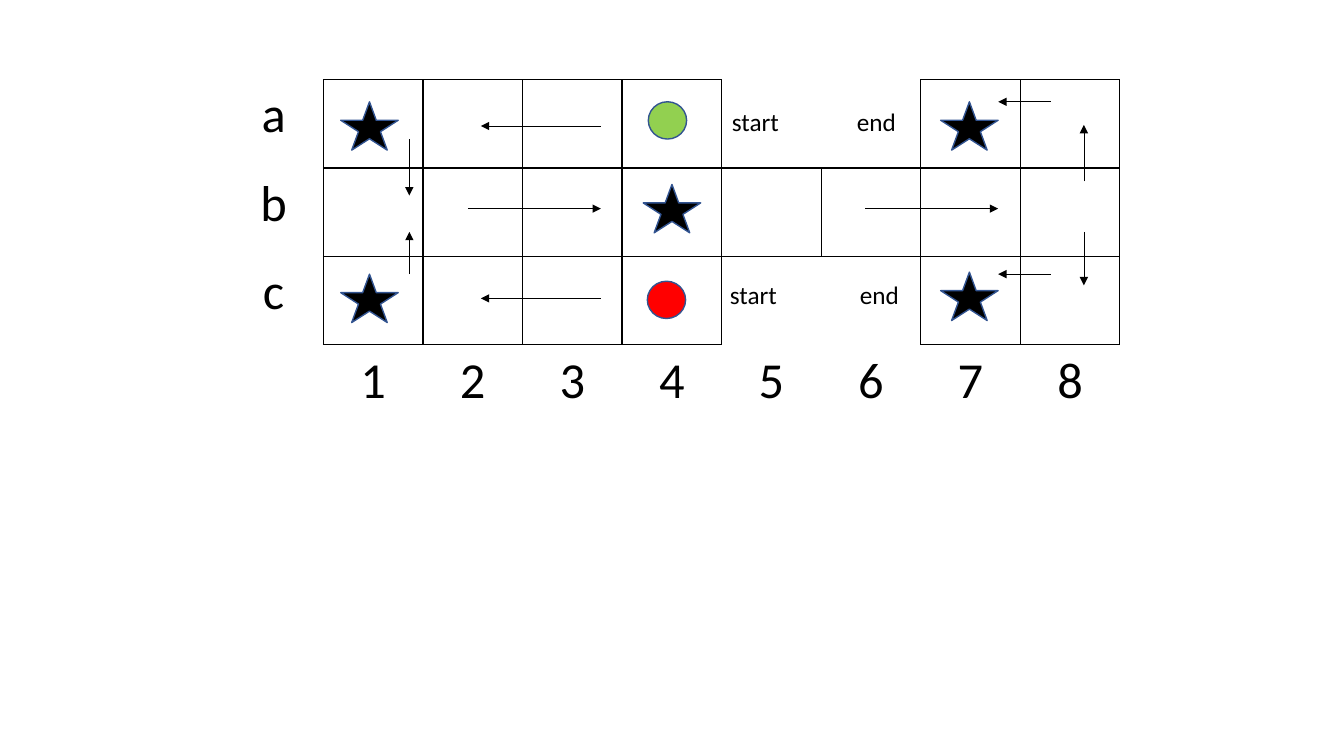
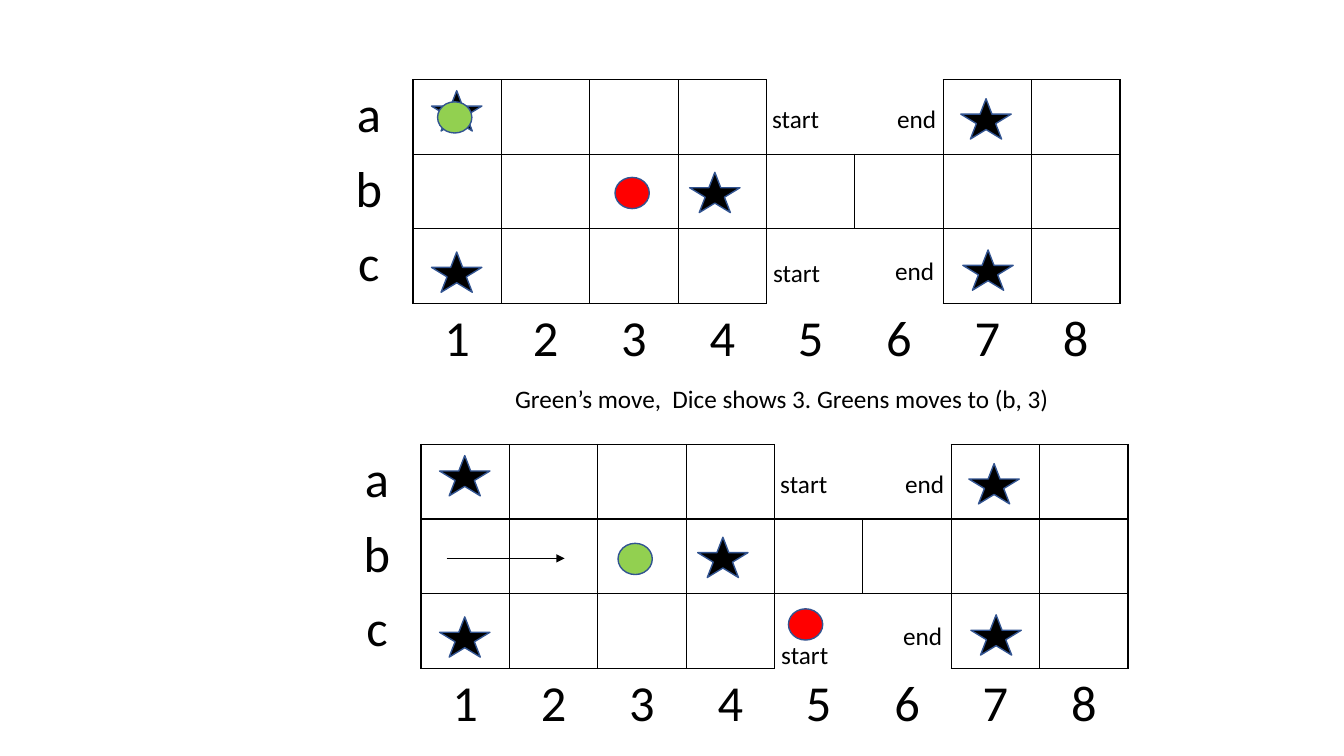
import dataclasses

import lxml.etree
import pptx
import pptx.dml.color
import pptx.enum.shapes
import pptx.enum.text
import pptx.oxml.ns
import pptx.util

EMU_PER_PX = 9144
ROWS = "abc"
COLUMNS = "12345678"
OPEN_COLUMNS = "56"
NO_STYLE_NO_GRID = "{2D5ABB26-0587-4C30-8999-92F81FD0307C}"
# Each cell side: XML tag and the step to the neighbouring cell.
SIDES = (("a:lnL", 0, -1), ("a:lnR", 0, 1), ("a:lnT", -1, 0), ("a:lnB", 1, 0))


@dataclasses.dataclass(frozen=True)
class Theme:
    font: str = "Calibri"
    axis_size: int = 36
    text_size: int = 18
    ink: str = "000000"
    outline: str = "325491"
    green: str = "92D050"
    red: str = "FF0000"
    grid_line: float = 1
    arrow_line: float = 0.5


@dataclasses.dataclass(frozen=True)
class BoardStyle:
    """Sizes of a board and its fixed marks, placed relative to its corner."""
    size: tuple
    star_size: tuple
    token_size: tuple
    label_size: tuple
    stars: tuple
    labels: tuple


THEME = Theme()

LARGE = BoardStyle(
    size=(889, 351), star_size=(57, 48), token_size=(38, 37), label_size=(76, 40),
    stars=((416, 104), (116, 22), (116, 193), (711, 22), (711, 191)),
    labels=(("start", 494, 22), ("end", 618, 22),
            ("start", 492, 193), ("end", 621, 193)))

SMALL = BoardStyle(
    size=(789, 296), star_size=(50, 40), token_size=(34, 31), label_size=(67, 40),
    stars=((362, 92), (106, 11), (106, 171), (631, 19), (633, 169)),
    labels=(("start", 434, 19), ("end", 558, 19),
            ("start", 435, 171), ("end", 556, 169)))

# The red token stands on the lower start, so its label sits below it.
SMALL_RED_AT_START = dataclasses.replace(
    SMALL, labels=SMALL.labels[:2] + (("start", 435, 188), SMALL.labels[3]))

ROUTE = (
    (374, 46, 255, 46), (184, 59, 184, 115),
    (374, 217, 255, 217), (184, 193, 184, 151),
    (242, 128, 374, 128), (636, 128, 768, 128),
    (853, 101, 853, 45), (853, 151, 853, 204),
    (820, 22, 768, 22), (820, 193, 768, 193),
)


def px(*lengths):
    return [pptx.util.Emu(length * EMU_PER_PX) for length in lengths]


def rgb(value):
    return pptx.dml.color.RGBColor.from_string(value)


def add_xml(parent, tag, **attributes):
    return lxml.etree.SubElement(parent, pptx.oxml.ns.qn(tag), attributes)


def write(frame, text, size, align=pptx.enum.text.PP_ALIGN.LEFT):
    frame.text = text
    para = frame.paragraphs[0]
    para.alignment = align
    for span in para.runs:
        span.font.name = THEME.font
        span.font.size = pptx.util.Pt(size)
        span.font.color.rgb = rgb(THEME.ink)


def add_label(page, text, left, top, size):
    box = page.shapes.add_textbox(*px(left, top, *size))
    box.text_frame.word_wrap = True
    box.text_frame.auto_size = pptx.enum.text.MSO_AUTO_SIZE.SHAPE_TO_FIT_TEXT
    write(box.text_frame, text, THEME.text_size)


def add_mark(page, kind, left, top, size, colour):
    mark = page.shapes.add_shape(kind, *px(left, top, *size))
    mark.shadow.inherit = False
    mark.fill.solid()
    mark.fill.fore_color.rgb = rgb(colour)
    mark.line.color.rgb = rgb(THEME.outline)
    mark.line.width = pptx.util.Pt(1)


def add_arrow(page, *ends):
    arrow = page.shapes.add_connector(
        pptx.enum.shapes.MSO_CONNECTOR.STRAIGHT, *px(*ends))
    arrow.line.color.rgb = rgb(THEME.ink)
    arrow.line.width = pptx.util.Pt(THEME.arrow_line)
    add_xml(arrow.line._get_or_add_ln(), "a:tailEnd", type="triangle")
    add_xml(arrow._element.spPr, "a:effectLst")


def is_square(row, column):
    """Tell whether a table cell is a playing square; row b has no gap."""
    if not (0 <= row < len(ROWS) and 1 <= column <= len(COLUMNS)):
        return False
    return ROWS[row] == "b" or COLUMNS[column - 1] not in OPEN_COLUMNS


def set_borders(cell, row, column):
    properties = cell._tc.get_or_add_tcPr()
    for tag, down, right in SIDES:
        border = add_xml(properties, tag, w=str(pptx.util.Pt(THEME.grid_line)))
        if is_square(row, column) or is_square(row + down, column + right):
            add_xml(add_xml(border, "a:solidFill"), "a:srgbClr", val=THEME.ink)
        else:
            add_xml(border, "a:noFill")


def cell_text(row, column):
    if row < len(ROWS):
        return ROWS[row] if column == 0 else ""
    return COLUMNS[column - 1] if column else ""


def add_grid(page, left, top, size):
    row_count, column_count = len(ROWS) + 1, len(COLUMNS) + 1
    width, height = px(*size)
    frame = page.shapes.add_table(
        row_count, column_count, *px(left, top), width, height)
    table = frame.table
    table.first_row = table.horz_banding = False
    table._tbl.tblPr.find(pptx.oxml.ns.qn("a:tableStyleId")).text = NO_STYLE_NO_GRID
    for column in table.columns:
        column.width = width // column_count
    for row in table.rows:
        row.height = height // row_count
    for row in range(row_count):
        for column in range(column_count):
            cell = table.cell(row, column)
            set_borders(cell, row, column)
            cell.fill.background()
            write(cell.text_frame, cell_text(row, column), THEME.axis_size,
                  pptx.enum.text.PP_ALIGN.CENTER)


def add_board(page, left, top, style, green, red, arrows=()):
    """Draw the grid, stars, labels, tokens and arrows from one corner."""
    shapes = pptx.enum.shapes.MSO_SHAPE
    add_grid(page, left, top, style.size)
    for x, y in style.stars:
        add_mark(page, shapes.STAR_5_POINT, left + x, top + y,
                 style.star_size, THEME.ink)
    for x1, y1, x2, y2 in arrows:
        add_arrow(page, left + x1, top + y1, left + x2, top + y2)
    for text, x, y in style.labels:
        add_label(page, text, left + x, top + y, style.label_size)
    for (x, y), colour in ((green, THEME.green), (red, THEME.red)):
        add_mark(page, shapes.OVAL, left + x, top + y, style.token_size, colour)


def main():
    deck = pptx.Presentation()
    deck.slide_width, deck.slide_height = px(1333, 750)
    blank = deck.slide_layouts[6]

    page = deck.slides.add_slide(blank)
    add_board(page, 222, 79, LARGE, green=(421, 22), red=(420, 200), arrows=ROUTE)

    page = deck.slides.add_slide(blank)
    add_board(page, 322, 79, SMALL, green=(112, 22), red=(288, 97))
    add_label(page, "Green’s move,  Dice shows 3. Greens moves to (b, 3)",
              501, 375, (646, 40))
    add_board(page, 330, 441, SMALL_RED_AT_START, green=(283, 98), red=(452, 163),
              arrows=((113, 113, 230, 113),))

    deck.save("out.pptx")


if __name__ == "__main__":
    main()
